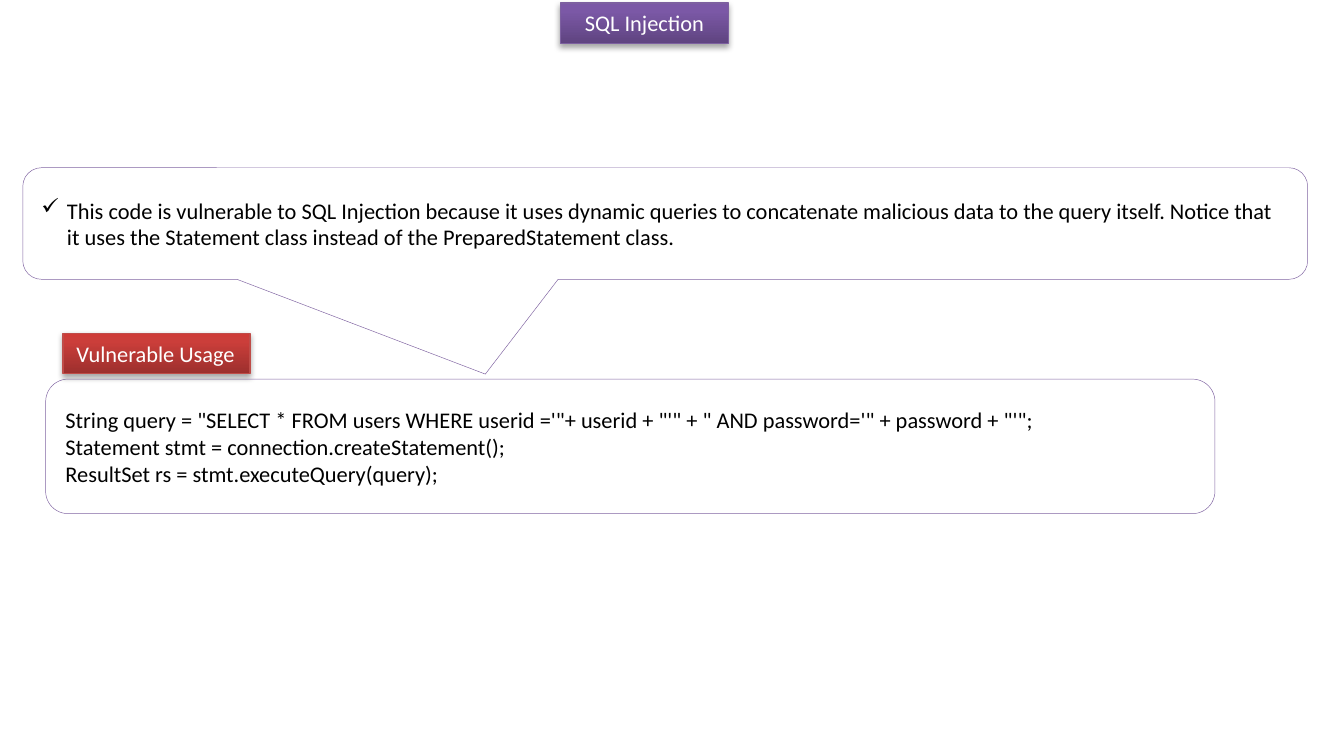
from copy import deepcopy

from pptx import Presentation
from pptx import util as u
from pptx.dml.color import RGBColor
from pptx.enum import shapes, text
from pptx.oxml import parse_xml
from pptx.oxml.ns import nsdecls, qn

WIDTH, HEIGHT = u.Inches(10), u.Inches(5.5)
FONT, SIZE = "Calibri", 12
INK, PAPER, OUTLINE = "000000", "FFFFFF", "8064A2"
STOPS = (0, 0.8, 1)
PURPLE = ("5F4480", "7B58A6", "7C57A8")
RED = ("9C2F2D", "CB3E3A", "CE3B37")

FINDING = (
    "This code is vulnerable to SQL Injection because it uses dynamic queries "
    "to concatenate malicious data to the query itself. Notice that it uses "
    "the Statement class instead of the PreparedStatement class."
)
CODE = """String query = "SELECT * FROM users WHERE userid ='"+ userid + "'" + " AND password='" + password + "'";
Statement stmt = connection.createStatement();
ResultSet rs = stmt.executeQuery(query);"""


def color(value):
    return RGBColor.from_string(value)


def add_box(page, kind, area, line_color, line_width):
    left, top, width, height = area
    box = page.shapes.add_shape(
        kind, round(left * WIDTH), round(top * HEIGHT),
        round(width * WIDTH), round(height * HEIGHT))
    box.shadow.inherit = False
    box.line.color.rgb = color(line_color)
    box.line.width = u.Pt(line_width)
    return box


def write(box, words, ink, align=text.PP_ALIGN.LEFT):
    frame = box.text_frame
    frame.text = words
    for para in frame.paragraphs:
        para.alignment = align
        for span in para.runs:
            span.font.name = FONT
            span.font.size = u.Pt(SIZE)
            span.font.color.rgb = color(ink)


def add_gradient(box, colors):
    box.fill.gradient()
    box.fill.gradient_angle = 90
    stop_list = box.element.spPr.find(qn("a:gradFill")).find(qn("a:gsLst"))
    stop_list.append(deepcopy(stop_list[-1]))
    for stop, position, value in zip(box.fill.gradient_stops, STOPS, colors):
        stop.position = position
        stop.color.rgb = color(value)


def add_shadow(box):
    box.element.spPr.find(qn("a:effectLst")).append(parse_xml(
        f'<a:outerShdw {nsdecls("a")} blurRad="40000" dist="23000" '
        'dir="5400000" rotWithShape="0"><a:srgbClr val="000000">'
        '<a:alpha val="35000"/></a:srgbClr></a:outerShdw>'))


def add_label(page, area, words, colors, line_color, align, wrap):
    box = add_box(page, shapes.MSO_SHAPE.RECTANGLE, area, line_color, 0.75)
    add_gradient(box, colors)
    add_shadow(box)
    write(box, words, PAPER, align)
    frame = box.text_frame
    frame.word_wrap = wrap
    frame.auto_size = text.MSO_AUTO_SIZE.SHAPE_TO_FIT_TEXT
    frame.vertical_anchor = text.MSO_ANCHOR.TOP


def add_panel(page, kind, area, words):
    box = add_box(page, kind, area, OUTLINE, 0.25)
    box.fill.solid()
    box.fill.fore_color.rgb = color(PAPER)
    write(box, words, INK)
    box.text_frame.word_wrap = True
    box.text_frame.vertical_anchor = text.MSO_ANCHOR.MIDDLE
    return box


def add_callout(page, area, words):
    box = add_panel(
        page, shapes.MSO_SHAPE.ROUNDED_RECTANGULAR_CALLOUT, area, words)
    box.adjustments[0] = -0.14
    box.adjustments[1] = 1.35
    indent = u.Inches(0.19)
    properties = box.text_frame.paragraphs[0]._p.get_or_add_pPr()
    properties.set("marL", str(indent))
    properties.set("indent", str(-indent))
    properties.append(parse_xml(f'<a:buChar {nsdecls("a")} char="✓"/>'))


def main():
    deck = Presentation()
    deck.slide_width, deck.slide_height = WIDTH, HEIGHT
    page = deck.slides.add_slide(deck.slide_layouts[6])
    add_label(page, (0.417, 0.004, 0.125, 0.055), "SQL Injection",
              PURPLE, "7D60A0", text.PP_ALIGN.CENTER, True)
    add_panel(page, shapes.MSO_SHAPE.ROUNDED_RECTANGLE,
              (0.034, 0.513, 0.87, 0.182), CODE)
    add_callout(page, (0.017, 0.227, 0.956, 0.151), FINDING)
    add_label(page, (0.047, 0.451, 0.139, 0.055), "Vulnerable Usage",
              RED, "BF4C48", text.PP_ALIGN.LEFT, False)
    deck.save("out.pptx")


if __name__ == "__main__":
    main()
